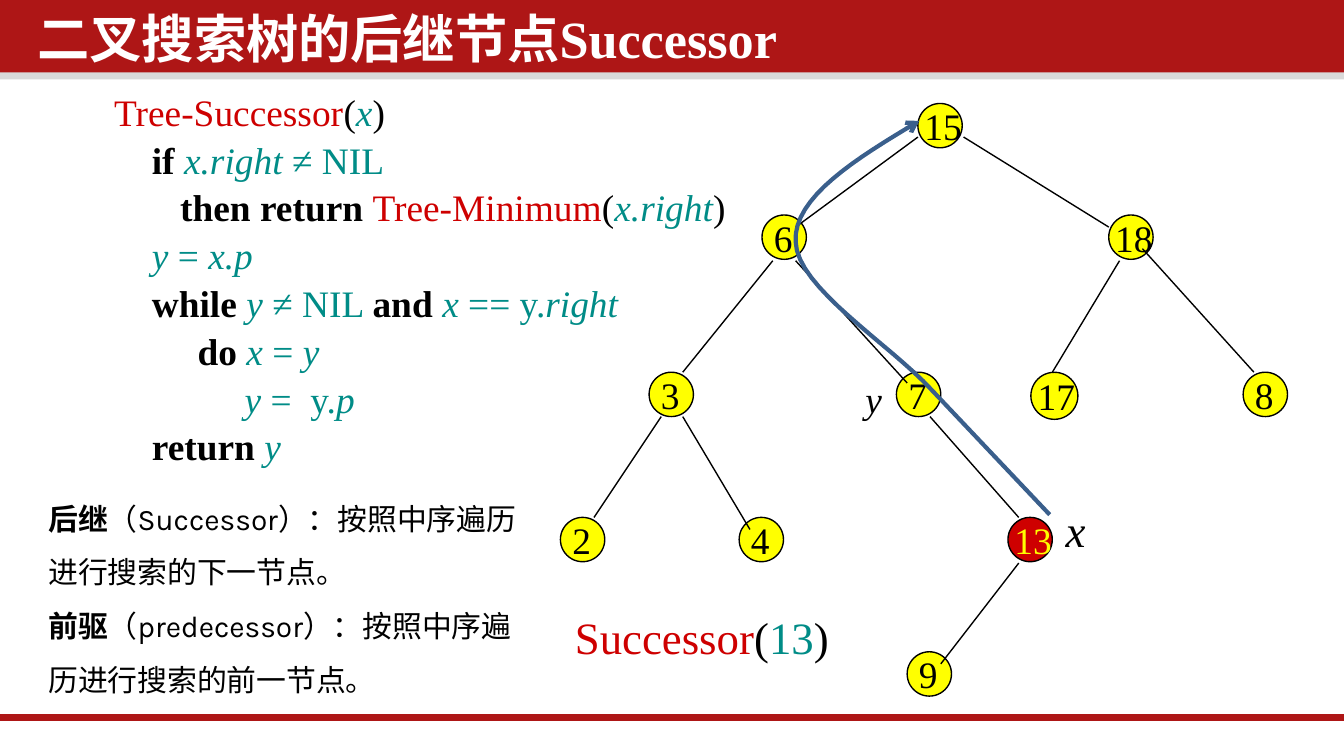
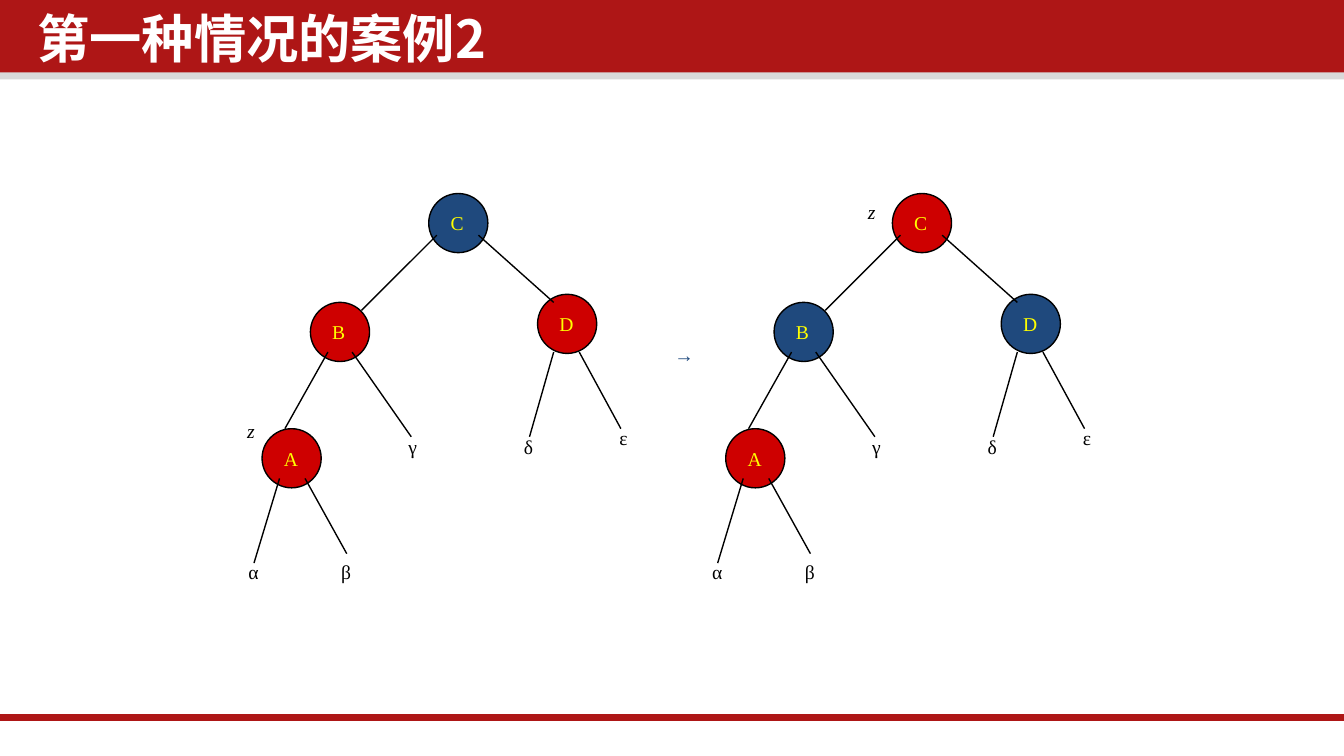
from lxml.etree import SubElement
from pptx import Presentation
from pptx.dml.color import RGBColor
from pptx.enum.shapes import MSO_CONNECTOR, MSO_SHAPE
from pptx.enum.text import MSO_ANCHOR, MSO_AUTO_SIZE, PP_ALIGN
from pptx.oxml.ns import qn
from pptx.util import Inches, Pt

RED = RGBColor(0xAE, 0x16, 0x16)
GREY = RGBColor(0xD9, 0xD9, 0xD9)
WHITE = RGBColor(0xFF, 0xFF, 0xFF)
BLACK = RGBColor(0, 0, 0)
ROSE = RGBColor(0xCE, 0, 0)
TEAL = RGBColor(0, 0x8C, 0x87)
GOLD = RGBColor(0xFF, 0xFF, 0)
NAVY = RGBColor(0x1F, 0x49, 0x7D)
STEEL = RGBColor(0x3A, 0x5F, 0x8C)

SERIF = "Times New Roman"
SANS = "Karla"
HAN = "Noto Sans CJK SC"

PLAIN = {"color": BLACK, "bold": False, "italic": False}
BOLD = PLAIN | {"bold": True}
CALL = PLAIN | {"color": ROSE}
TERM = PLAIN | {"color": TEAL}
VAR = TERM | {"italic": True}
SLANT = PLAIN | {"italic": True}

CODE = [
    (0, [("Tree-Successor", CALL), ("(", PLAIN), ("x", VAR), (")", PLAIN)]),
    (0.28, [("if ", BOLD), ("x.right ", VAR), ("≠ NIL", TERM)]),
    (0.49, [("then return ", BOLD), ("Tree-Minimum", CALL), ("(", PLAIN),
            ("x.right", VAR), (")", PLAIN)]),
    (0.28, [("y ", VAR), ("= ", TERM), ("x.p", VAR)]),
    (0.28, [("while ", BOLD), ("y", VAR), (" ≠ NIL ", TERM), ("and ", BOLD),
            ("x", VAR), (" == y.", TERM), ("right", VAR)]),
    (0.62, [("do ", BOLD), ("x", VAR), (" = ", TERM), ("y", VAR)]),
    (0.97, [("y", VAR), (" =  y.", TERM), ("p", VAR)]),
    (0.28, [("return ", BOLD), ("y", VAR)]),
]
TERMS = [
    (0, [("后继", BOLD), ("（Successor）：按照中序遍历进行搜索的下一节点。", PLAIN)]),
    (0, [("前驱", BOLD), ("（predecessor）：按照中序遍历进行搜索的前一节点。", PLAIN)]),
]

KEYS = [("15", 2.66, 0), ("6", 1.5, 0.83), ("18", 4.08, 0.83), ("3", 0.66, 2),
        ("7", 2.5, 2), ("17", 3.5, 2), ("8", 5.08, 2), ("2", 0, 3.08),
        ("4", 1.33, 3.08), ("13", 3.33, 3.08), ("9", 2.58, 4.08)]
LINKS = [(1.58, 1.17, 0.91, 2), (1.75, 1.17, 2.58, 2.08), (2.66, 0.25, 1.75, 0.92),
         (3, 0.25, 4.08, 0.92), (4.33, 1.08, 5.16, 2), (0.75, 2.33, 0.25, 3.08),
         (0.91, 2.33, 1.41, 3.17), (2.75, 2.33, 3.41, 3.08),
         (3.41, 3.42, 2.83, 4.17), (4.16, 1.17, 3.66, 2)]
CURVES = [((2.76, 2.13), (2.45, 1.79), (1.76, 1.37), (1.75, 1.03)),
          ((1.75, 1.03), (1.73, 0.7), (2.2, 0.41), (2.67, 0.13))]

DISCS = [("A", 0.21, 1.75), ("B", 0.57, 0.81), ("C", 1.45, 0), ("D", 2.26, 0.75)]
ARMS = [(1.51, 0.31, 0.95, 0.87), (1.82, 0.31, 2.38, 0.81), (0.7, 1.18, 0.38, 1.75),
        (0.88, 1.18, 1.32, 1.81), (2.57, 1.18, 2.88, 1.75), (2.38, 1.18, 2.2, 1.81),
        (0.53, 2.12, 0.84, 2.68), (0.34, 2.12, 0.15, 2.75)]
LEAVES = [("α", 0.01, 2.68), ("β", 0.7, 2.68), ("γ", 1.2, 1.75),
          ("δ", 2.06, 1.75), ("ε", 2.77, 1.68)]


def dress(item, values):
    for key, value in values.items():
        setattr(item, key, value)


def place(shape, *box):
    dress(shape, dict(zip(("left", "top", "width", "height"), map(Inches, box))))


def write(frame, lines, size, face=SERIF, han=None, gap=1.0, before=0):
    for num, (indent, runs) in enumerate(lines):
        para = frame.add_paragraph() if num else frame.paragraphs[0]
        dress(para, {"alignment": PP_ALIGN.LEFT, "line_spacing": gap,
                     "space_before": Pt(before)})
        props = para._p.get_or_add_pPr()
        props.set("marL", str(Inches(indent)))
        props.set("indent", "0")
        SubElement(props, qn("a:buNone"))
        for text, look in runs:
            run = para.add_run()
            run.text = text
            dress(run.font, {"name": face, "size": Pt(size), "bold": look["bold"],
                             "italic": look["italic"]})
            run.font.color.rgb = look["color"]
            if han:
                SubElement(run._r.get_or_add_rPr(), qn("a:ea")).set("typeface", han)


def label(slide, text, box, size, look=PLAIN, wrap=False):
    note = slide.shapes.add_textbox(*map(Inches, box))
    note.text_frame.word_wrap = wrap
    runs = text if isinstance(text, list) else [(text, look)]
    write(note.text_frame, [(0, runs)], size)


def line(slide, start, end, color=BLACK, width=0.75):
    link = slide.shapes.add_connector(MSO_CONNECTOR.STRAIGHT,
                                      *map(Inches, (*start, *end)))
    link.line.color.rgb = color
    link.line.width = Pt(width)
    SubElement(link.element.spPr, qn("a:effectLst"))
    return link


def edges(slide, left, top, links):
    for ax, ay, bx, by in links:
        line(slide, (left + ax, top + ay), (left + bx, top + by))


def band(slide, top, height, color):
    bar = slide.shapes.add_shape(MSO_SHAPE.RECTANGLE,
                                 *map(Inches, (0, top, 10, height)))
    bar.shadow.inherit = False
    bar.fill.solid()
    bar.fill.fore_color.rgb = color
    bar.line.fill.background()
    return bar


def node(slide, text, left, top, side, fill, ink, size, inset):
    disc = slide.shapes.add_shape(MSO_SHAPE.OVAL,
                                  *map(Inches, (left, top, side, side)))
    disc.shadow.inherit = False
    disc.fill.solid()
    disc.fill.fore_color.rgb = fill
    disc.line.color.rgb = BLACK
    disc.line.width = Pt(0.75)
    dress(disc.text_frame, {"word_wrap": False, "margin_left": Inches(inset),
                            "vertical_anchor": MSO_ANCHOR.MIDDLE})
    write(disc.text_frame, [(0, [(text, PLAIN | {"color": ink})])], size)


def frame(deck, slide):
    parts = [band(slide, 0.5, 0.09, GREY), band(slide, 0, 0.54, RED),
             line(slide, (-0.02, 5.34), (10, 5.34), RED, 4)]
    tree = deck.slide_master.shapes.element
    for num, part in enumerate(parts):
        part.element.xpath(".//p:cNvPr")[0].set("id", str(100 + num))
        tree.insert(2 + num, part.element)


def title(slide, text, face):
    head = slide.shapes.title
    place(head, 0.21, 0.06, 7.64, 0.59)
    dress(head.text_frame, {
        "margin_left": Inches(0.07), "margin_right": Inches(0.07),
        "margin_top": Inches(0.04), "margin_bottom": Inches(0.04),
        "vertical_anchor": MSO_ANCHOR.TOP, "word_wrap": True,
        "auto_size": MSO_AUTO_SIZE.NONE})
    write(head.text_frame, [(0, [(text, BOLD | {"color": WHITE})])], 28,
          face, HAN, 0.9, 7.5)


def body(hold, box, lines, size, **looks):
    place(hold, *box)
    dress(hold.text_frame, {"word_wrap": True, "auto_size": MSO_AUTO_SIZE.NONE,
                            "vertical_anchor": MSO_ANCHOR.TOP})
    write(hold.text_frame, lines, size, **looks)


def trace(slide, left, top):
    points = [(3.64, 3.06)]
    for a, b, c, d in CURVES:
        for step in range(17):
            t = step / 16
            u = 1 - t
            points.append(tuple(
                u**3 * p + 3 * u * u * t * q + 3 * u * t * t * r + t**3 * s
                for p, q, r, s in zip(a, b, c, d)))
    points = [(Inches(left + x), Inches(top + y)) for x, y in points]
    pen = slide.shapes.build_freeform(*points[0])
    pen.add_line_segments(points[1:], close=False)
    route = pen.convert_to_shape()
    route.shadow.inherit = False
    route.fill.background()
    route.line.color.rgb = STEEL
    route.line.width = Pt(2.25)
    SubElement(route.line._get_or_add_ln(), qn("a:tailEnd")).set("type", "arrow")


def search(slide, left, top):
    for text, x, y in KEYS:
        fill, ink = (ROSE, GOLD) if text == "13" else (GOLD, BLACK)
        node(slide, text, left + x, top + y, 0.35 if text == "17" else 0.33,
             fill, ink, 20, 0 if len(text) > 1 else 0.04)
    edges(slide, left, top, LINKS)
    label(slide, "y", (left + 2.17, top + 1.98, 0.32, 0.43), 20, SLANT, True)
    label(slide, "x", (left + 3.66, top + 2.92, 0.35, 0.5), 24, SLANT, True)
    label(slide, [("Successor", CALL), ("(", PLAIN), ("13", TERM), (")", PLAIN)],
          (left + 0.01, top + 3.72, 2.3, 0.58), 24, wrap=True)
    trace(slide, left, top)


def colored(slide, left, top, dark, mark):
    for text, x, y in DISCS:
        node(slide, text, left + x, top + y, 0.44,
             NAVY if text in dark else ROSE, GOLD, 10.5, 0.1)
    edges(slide, left, top, ARMS)
    for text, x, y in LEAVES:
        label(slide, text, (left + x, top + y, 0.27, 0.28), 10.5)
    label(slide, "z", (left + mark[0], top + mark[1], 0.26, 0.28), 10.5, SLANT)


def main():
    deck = Presentation()
    deck.slide_width = Inches(10)
    deck.slide_height = Inches(10) * 9 // 16

    slide = deck.slides.add_slide(deck.slide_layouts[3])
    frame(deck, slide)
    title(slide, "二叉搜索树的后继节点Successor", SERIF)
    body(slide.placeholders[1], (0.75, 0.65, 4.95, 4.66), CODE, 20,
         gap=0.9, before=4)
    body(slide.placeholders[2], (0.26, 3.54, 3.83, 1.66), TERMS, 16,
         face=SANS, han=HAN, gap=1.5)
    search(slide, 4.17, 0.77)

    slide = deck.slides.add_slide(deck.slide_layouts[5])
    title(slide, "第一种情况的案例2", HAN)
    colored(slide, 1.74, 1.44, "C", (0, 1.63))
    label(slide, "→", (4.92, 2.5, 0.34, 0.28), 10.5, PLAIN | {"color": NAVY})
    colored(slide, 5.19, 1.44, "BD", (1.17, 0))

    deck.save("out.pptx")


if __name__ == "__main__":
    main()
